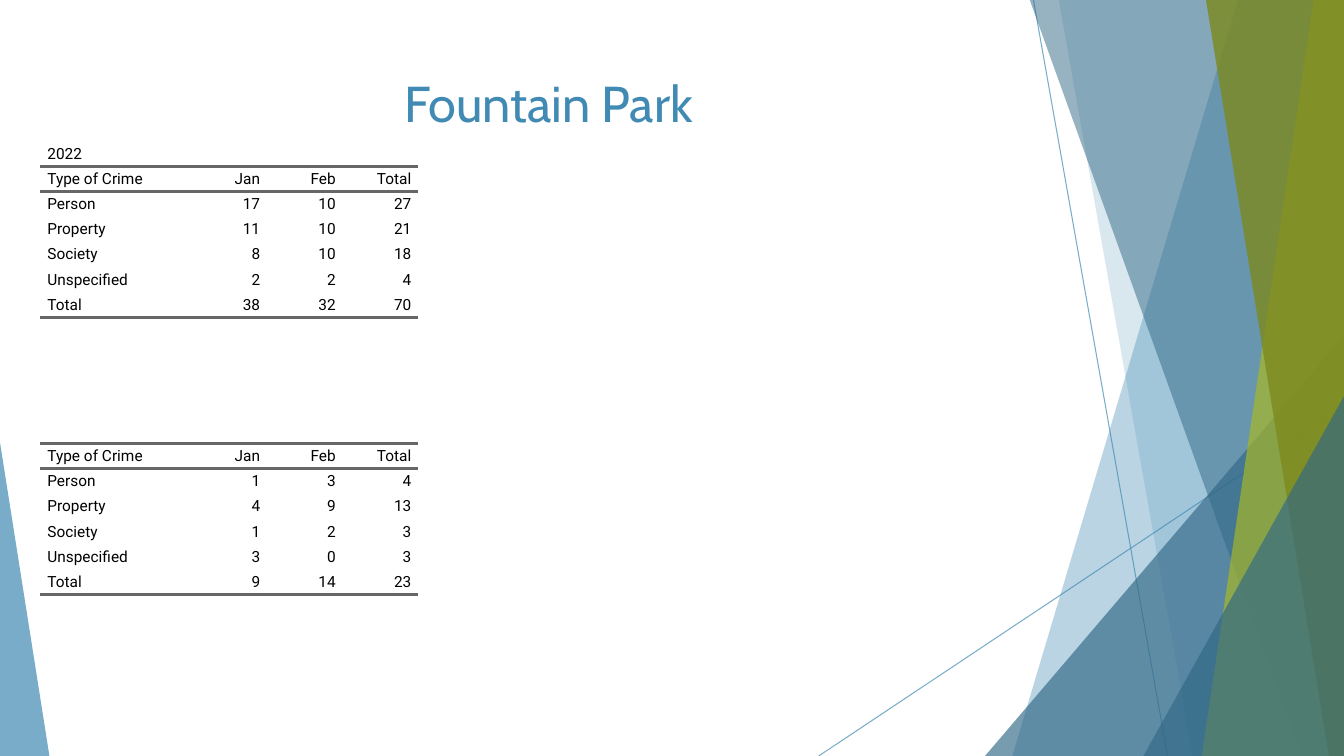
"""Build the Fountain Park crime statistics slide."""
from dataclasses import dataclass

from lxml.etree import SubElement
from pptx import Presentation
from pptx.dml.color import RGBColor
from pptx.enum.shapes import MSO_CONNECTOR as CONNECTOR, MSO_SHAPE as SHAPE
from pptx.enum.text import MSO_ANCHOR as ANCHOR, PP_ALIGN as ALIGN
from pptx.oxml.ns import qn
from pptx.util import Pt

EMU_PER_PX = 9144
SLIDE_WIDTH, SLIDE_HEIGHT = 1333, 750
COLUMN_WIDTHS = (150, 75, 75, 75)
ROW_HEIGHT, CELL_MARGIN = 25, 7
NO_GRID_STYLE = "{2D5ABB26-0587-4C30-8999-92F81FD0307C}"
HEADINGS = ("Type of Crime", "Jan", "Feb", "Total")
CRIMES_2022 = (
    ("Person", 17, 10, 27),
    ("Property", 11, 10, 21),
    ("Society", 8, 10, 18),
    ("Unspecified", 2, 2, 4),
    ("Total", 38, 32, 70),
)
CRIMES_LOWER = (
    ("Person", 1, 3, 4),
    ("Property", 4, 9, 13),
    ("Society", 1, 2, 3),
    ("Unspecified", 3, 0, 3),
    ("Total", 9, 14, 23),
)


@dataclass(frozen=True)
class Theme:
    blue: str = "418AB3"
    navy: str = "316886"
    lime: str = "A6B727"
    olive: str = "7D891D"
    rule: str = "666666"
    ink: str = "000000"
    title_font: str = "Cabin"
    table_font: str = "Roboto"
    title_size: int = 36
    table_size: int = 11
    rule_width: float = 2
    hairline: float = 0.75


THEME = Theme()


def px(length):
    return length * EMU_PER_PX


def paint(fill, color, opacity):
    fill.solid()
    fill.fore_color.rgb = RGBColor.from_string(color)
    swatch = fill._xPr.find(f"{qn('a:solidFill')}/{qn('a:srgbClr')}")
    SubElement(swatch, qn("a:alpha"), val=str(opacity * 1000))


def style_text(paragraph, font_name, size, color, alignment):
    paragraph.alignment = alignment
    for run in paragraph.runs:
        run.font.name = font_name
        run.font.size = Pt(size)
        run.font.color.rgb = RGBColor.from_string(color)


def add_hairline(slide, start, end):
    hairline = slide.shapes.add_connector(CONNECTOR.STRAIGHT, *map(px, start + end))
    hairline.line.width = Pt(THEME.hairline)
    paint(hairline.line.fill, THEME.blue, 70)
    SubElement(hairline._element.spPr, qn("a:effectLst"))


def finish_facet(facet, color, opacity):
    facet.shadow.inherit = False
    paint(facet.fill, color, opacity)
    facet.line.fill.background()


def add_band(slide, top_x, bottom_x, color, opacity):
    outline = slide.shapes.build_freeform(top_x, -1, scale=EMU_PER_PX)
    outline.add_line_segments(
        [(SLIDE_WIDTH, -1), (SLIDE_WIDTH, SLIDE_HEIGHT), (bottom_x, SLIDE_HEIGHT)]
    )
    finish_facet(outline.convert_to_shape(), color, opacity)


def add_corner(slide, left, top, width, apex, color, opacity):
    corner = slide.shapes.add_shape(
        SHAPE.ISOSCELES_TRIANGLE, px(left), px(top), px(width), px(SLIDE_HEIGHT - top)
    )
    corner.adjustments[0] = apex
    finish_facet(corner, color, opacity)


def add_title(slide, title):
    box = slide.shapes.add_textbox(px(74), px(67), px(940), px(144))
    frame = box.text_frame
    frame.word_wrap = True
    frame.vertical_anchor = ANCHOR.TOP
    frame.text = title
    style_text(frame.paragraphs[0], THEME.title_font, THEME.title_size,
               THEME.blue, ALIGN.CENTER)


def add_rule(cell, side):
    rule = SubElement(cell._tc.get_or_add_tcPr(), qn(f"a:{side}"),
                      w=str(Pt(THEME.rule_width)))
    solid = SubElement(rule, qn("a:solidFill"))
    SubElement(solid, qn("a:srgbClr"), val=THEME.rule)


def fill_cell(cell, value, alignment, rules):
    cell.text_frame.text = str(value)
    cell.margin_left = cell.margin_right = px(CELL_MARGIN)
    cell.margin_top = cell.margin_bottom = 0
    cell.vertical_anchor = ANCHOR.MIDDLE
    style_text(cell.text_frame.paragraphs[0], THEME.table_font,
               THEME.table_size, THEME.ink, alignment)
    for side in rules:
        add_rule(cell, side)
    cell.fill.background()


def add_crime_table(slide, top, crimes, year=None):
    year_rows = [(year, "", "", "")] if year else []
    rows = [*year_rows, HEADINGS, *crimes]
    header = len(year_rows)
    rules = {header: ("lnT", "lnB"), len(rows) - 1: ("lnB",)}
    table = slide.shapes.add_table(
        len(rows), len(HEADINGS), px(40), px(top),
        px(sum(COLUMN_WIDTHS)), px(ROW_HEIGHT * len(rows)),
    ).table
    table.first_row = table.horz_banding = False
    table._tbl.tblPr.find(qn("a:tableStyleId")).text = NO_GRID_STYLE
    for column, width in zip(table.columns, COLUMN_WIDTHS):
        column.width = px(width)
    for r, values in enumerate(rows):
        table.rows[r].height = px(ROW_HEIGHT)
        for c, value in enumerate(values):
            alignment = ALIGN.RIGHT if c else ALIGN.LEFT
            fill_cell(table.cell(r, c), value, alignment, rules.get(r, ()))
    if year:
        table.cell(0, 0).merge(table.cell(0, len(HEADINGS) - 1))


def add_backdrop(slide):
    add_hairline(slide, (1025, 0), (1158, SLIDE_HEIGHT))
    add_hairline(slide, (SLIDE_WIDTH, 403), (812, SLIDE_HEIGHT))
    add_band(slide, 1228, 1004, THEME.blue, 36)
    add_band(slide, 1050, 1183, THEME.blue, 20)
    add_corner(slide, 977, 333, 356, 1, THEME.navy, 66)
    add_band(slide, 1021, 1291, THEME.navy, 50)
    add_band(slide, 1303, 1192, THEME.lime, 70)
    add_band(slide, 1196, 1318, THEME.olive, 80)
    add_corner(slide, 1134, 393, 199, 1, THEME.navy, 66)
    add_corner(slide, 0, 439, 49, 0, THEME.blue, 70)


def main():
    deck = Presentation()
    deck.slide_width, deck.slide_height = px(SLIDE_WIDTH), px(SLIDE_HEIGHT)
    slide = deck.slides.add_slide(deck.slide_layouts[6])
    add_backdrop(slide)
    add_crime_table(slide, 140, CRIMES_2022, "2022")
    add_crime_table(slide, 440, CRIMES_LOWER)
    add_title(slide, "Fountain Park")
    deck.save("out.pptx")


if __name__ == "__main__":
    main()
